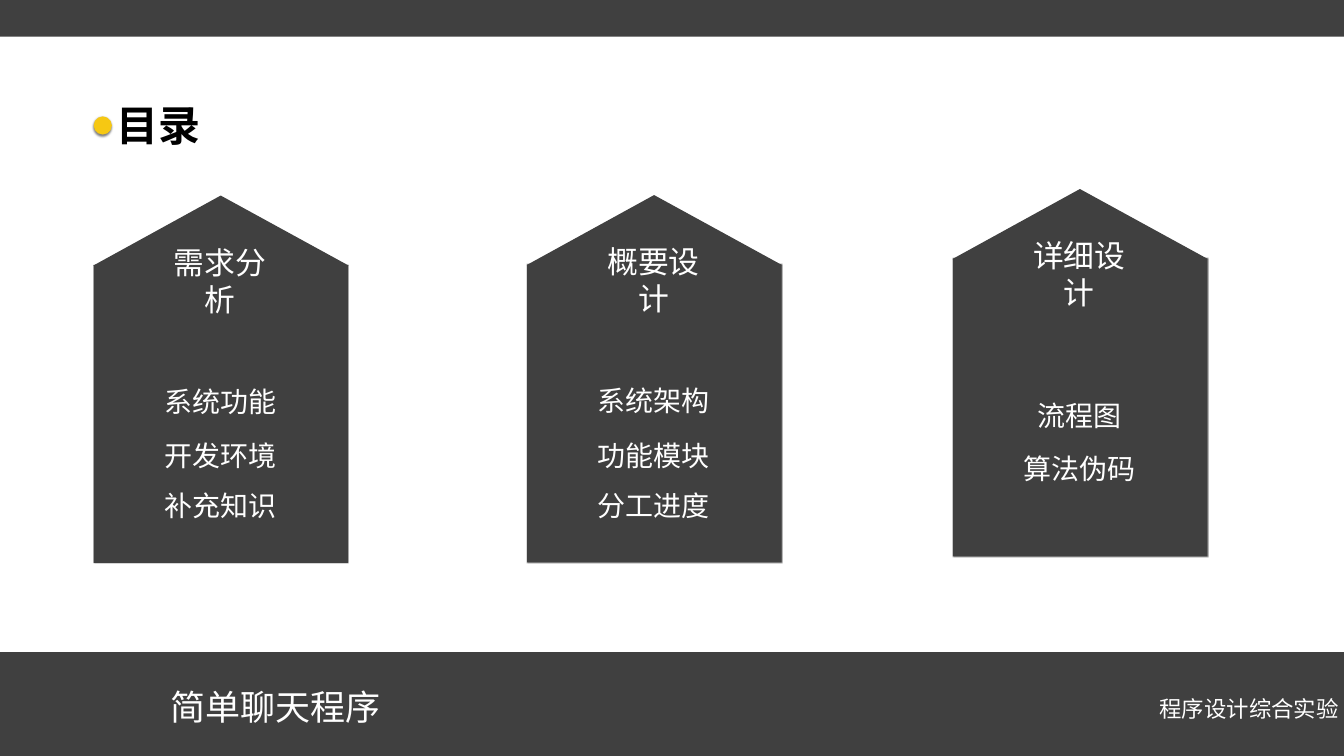
from dataclasses import dataclass

from lxml.etree import SubElement
from pptx import Presentation
from pptx.dml.color import RGBColor as RGB
from pptx.enum.shapes import MSO_SHAPE as Preset
from pptx.enum.text import MSO_ANCHOR as Anchor, PP_ALIGN as Align
from pptx.oxml import parse_xml
from pptx.oxml.ns import nsdecls, qn
from pptx.util import Pt

PX = 9144  # EMU; 100 px to the inch
WIDTH, HEIGHT = 2667, 1500
INSET = 6


@dataclass(frozen=True)
class Theme:
    font: str = "Noto Sans CJK SC"
    dark: str = "404040"
    accent: str = "F6C813"
    light: str = "FFFFFF"
    ink: str = "000000"
    title: int = 60
    course: int = 50
    heading: int = 44
    item: int = 40
    credit: int = 32


THEME = Theme()

# left, top, heading, ((topic, offset from the panel's top), ...)
SECTIONS = (
    (185, 388, "需求分析", (("系统功能", 368), ("开发环境", 476), ("补充知识", 576))),
    (1045, 387, "概要设计", (("系统架构", 368), ("功能模块", 476), ("分工进度", 576))),
    (1890, 375, "详细设计", (("流程图", 410), ("算法伪码", 514))),
)


def paint(shape, color):
    shape.shadow.inherit = False
    shape.fill.solid()
    shape.fill.fore_color.rgb = RGB.from_string(color)
    shape.line.fill.background()


def add_filled(slide, preset, box, color):
    shape = slide.shapes.add_shape(preset, *(n * PX for n in box))
    paint(shape, color)
    return shape


def cast_shadow(shape, blur, distance):
    """Give the shape a half-transparent shadow straight below; sizes in points."""
    effects = shape._element.spPr.find(qn("a:effectLst"))
    effects.append(parse_xml(
        f'<a:outerShdw {nsdecls("a")} blurRad="{Pt(blur)}" dist="{Pt(distance)}" '
        f'dir="5400000" rotWithShape="0"><a:srgbClr val="{THEME.ink}">'
        '<a:alpha val="50000"/></a:srgbClr></a:outerShdw>'))


def add_label(slide, box, text, size, color=THEME.light, align=Align.CENTER,
              bold=False, wrap=True, anchor=Anchor.TOP, spacing=None):
    frame = slide.shapes.add_textbox(*(n * PX for n in box)).text_frame
    frame.word_wrap = wrap
    frame.vertical_anchor = anchor
    frame.margin_left = frame.margin_right = INSET * PX
    frame.margin_top = frame.margin_bottom = INSET * PX
    paragraph = frame.paragraphs[0]
    paragraph.alignment = align
    if spacing:
        paragraph.line_spacing = Pt(spacing)
    run = paragraph.add_run()
    run.text = text
    font = run.font
    font.name, font.size, font.bold = THEME.font, Pt(size), bold
    font.color.rgb = RGB.from_string(color)
    SubElement(run._r.get_or_add_rPr(), qn("a:ea"), typeface=THEME.font)


def add_centred_line(slide, center, top, height, text, size):
    width = round(len(text) * size * 100 / 72) + 2 * INSET
    add_label(slide, (center - width // 2, top, width, height), text, size,
              wrap=False, anchor=Anchor.MIDDLE)


def add_section(slide, box, heading, topics):
    """Draw a house-shaped panel with its heading and topics."""
    left, top, width, height = box
    roof = 139
    body = add_filled(slide, Preset.RECTANGLE,
                      (left + 1, top + roof - 1, width - 2, height - roof + 1), THEME.dark)
    cast_shadow(body, 1, 0)
    gable = slide.shapes.build_freeform(left + width // 2, top, scale=PX)
    gable.add_line_segments([(left + width, top + roof), (left, top + roof)])
    paint(gable.convert_to_shape(), THEME.dark)
    center = left + width // 2 - 1
    add_centred_line(slide, center, top + 126, 85, heading, THEME.heading)
    for topic, offset in topics:
        add_centred_line(slide, center, top + offset, 79, topic, THEME.item)


def add_title(slide, box):
    left, top, width, height = box
    dot = 36
    bullet = add_filled(slide, Preset.OVAL, (left, top + 39, dot, dot), THEME.accent)
    cast_shadow(bullet, 3, 2)
    add_label(slide, (left + 39, top, width - 39, height), "目录", THEME.title,
              THEME.ink, Align.LEFT, bold=True, anchor=Anchor.MIDDLE)


def add_footer(slide, box):
    left, top, width, height = box
    add_filled(slide, Preset.RECTANGLE, box, THEME.dark)
    add_label(slide, (left + 186, top + 60, 720, 95), "简单聊天程序", THEME.course,
              anchor=Anchor.MIDDLE)
    add_label(slide, (left + width - 372, top + 17, 372, 188), "程序设计综合实验",
              THEME.credit, align=Align.LEFT, anchor=Anchor.MIDDLE, spacing=40)


def main():
    deck = Presentation()
    deck.slide_width, deck.slide_height = WIDTH * PX, HEIGHT * PX
    slide = deck.slides.add_slide(deck.slide_layouts[6])
    add_filled(slide, Preset.RECTANGLE, (0, 0, WIDTH, 73), THEME.dark)
    add_title(slide, (186, 192, 236, 112))
    for left, top, heading, topics in SECTIONS:
        add_section(slide, (left, top, 507, 729), heading, topics)
    add_footer(slide, (0, 1294, WIDTH, 206))
    deck.save("out.pptx")


if __name__ == "__main__":
    main()
